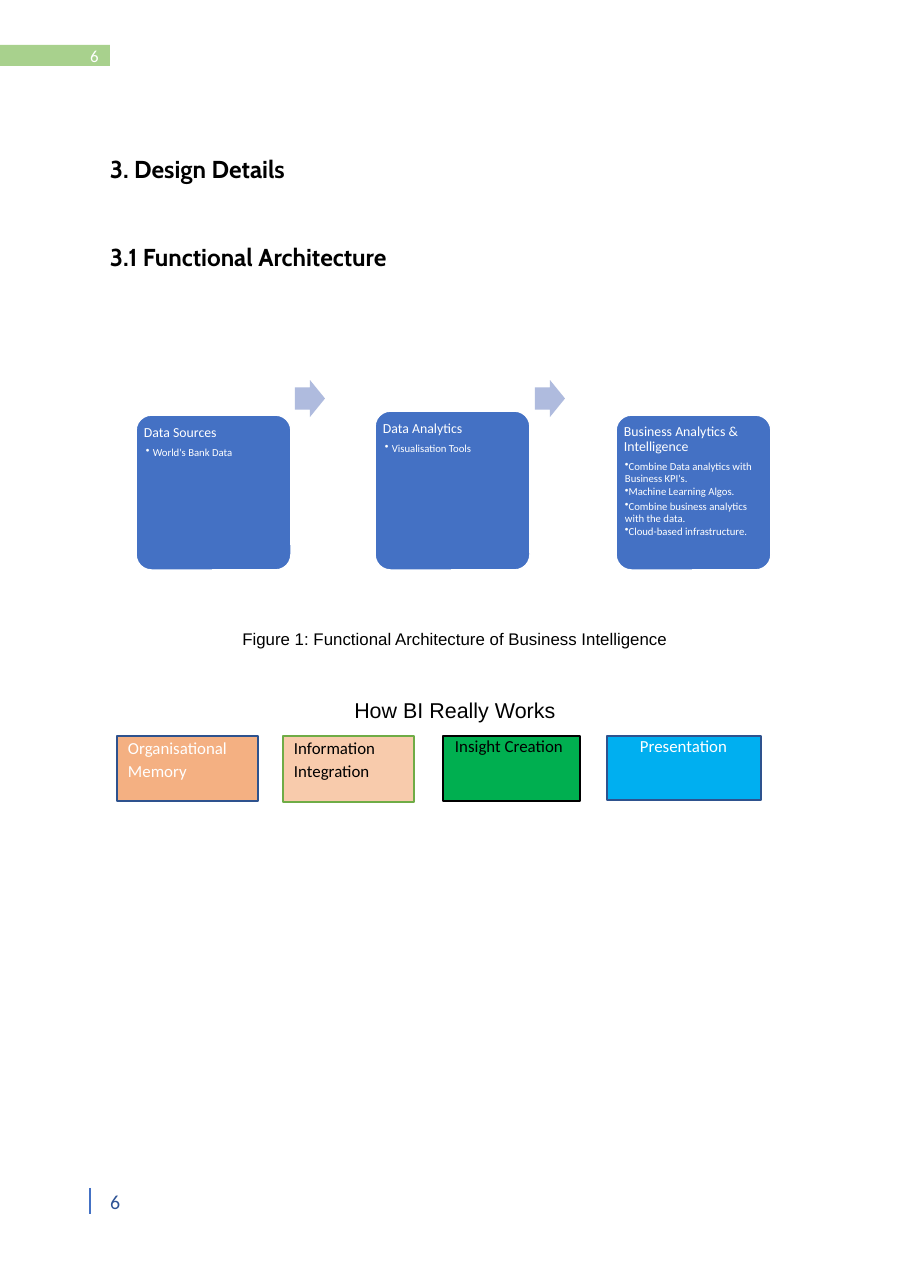
from lxml.etree import SubElement
from pptx import Presentation
from pptx.dml.color import RGBColor
from pptx.enum.shapes import MSO_CONNECTOR, MSO_SHAPE
from pptx.enum.text import MSO_ANCHOR, PP_ALIGN
from pptx.oxml.ns import qn
from pptx.util import Pt

PX = 8298  # EMU per px

WHITE = RGBColor(0xFF, 0xFF, 0xFF)
BLACK = RGBColor(0, 0, 0)
BLUE = RGBColor(0x44, 0x71, 0xC4)
PALE_BLUE = RGBColor(0xAF, 0xBB, 0xDE)
DARK_BLUE = RGBColor(0x2E, 0x52, 0x8E)
PAGE_BLUE = RGBColor(0x2E, 0x53, 0x95)
BAND_GREEN = RGBColor(0xA8, 0xD1, 0x8D)
LEAF_GREEN = RGBColor(0x6F, 0xAC, 0x46)
GREEN = RGBColor(0x00, 0xAF, 0x50)
ORANGE = RGBColor(0xF4, 0xB0, 0x82)
PEACH = RGBColor(0xF8, 0xCB, 0xAC)
SKY = RGBColor(0x00, 0xAF, 0xF0)


def px(*lengths):
    return [length * PX for length in lengths]


def add_block(slide, kind, box, fill, line=None):
    shape = slide.shapes.add_shape(kind, *px(*box))
    shape.shadow.inherit = False
    shape.fill.solid()
    shape.fill.fore_color.rgb = fill
    if line is None:
        shape.line.fill.background()
    else:
        shape.line.color.rgb = line
        shape.line.width = Pt(1)
    return shape


def clear_margins(frame, left=0):
    frame.margin_left = left * PX
    frame.margin_top = frame.margin_right = frame.margin_bottom = 0
    frame.vertical_anchor = MSO_ANCHOR.TOP
    frame.word_wrap = True


def set_text(paragraph, text, size, color, font="Calibri", bold=False):
    paragraph.text = text
    paragraph.font.size = Pt(size)
    paragraph.font.name = font
    paragraph.font.bold = bold
    paragraph.font.color.rgb = color


def add_text(slide, box, text, size, color, font="Calibri", bold=False, align=PP_ALIGN.LEFT):
    frame = slide.shapes.add_textbox(*px(*box)).text_frame
    clear_margins(frame)
    paragraph = frame.paragraphs[0]
    paragraph.alignment = align
    set_text(paragraph, text, size, color, font, bold)
    return frame


def add_bullet(paragraph, margin, indent):
    properties = paragraph._p.get_or_add_pPr()
    properties.set("marL", str(margin * PX))
    properties.set("indent", str(indent * PX))
    color = SubElement(properties, qn("a:buClr"))
    SubElement(color, qn("a:srgbClr"), val=str(WHITE))
    SubElement(properties, qn("a:buChar"), char="•")


def add_card(slide, box, title, items, margin, indent, title_spacing=None):
    """Rounded card; each item is (text, space before, line spacing), in points."""
    card = add_block(slide, MSO_SHAPE.ROUNDED_RECTANGLE, box, BLUE, WHITE)
    card.adjustments[0] = 0.1
    left, top, width, height = box
    frame = add_text(slide, (left + 8, top + 9, 134, height - 20), title, 9, WHITE)
    frame.paragraphs[0].line_spacing = title_spacing
    for text, before, spacing in items:
        paragraph = frame.add_paragraph()
        paragraph.space_before = Pt(before)
        paragraph.line_spacing = spacing
        add_bullet(paragraph, margin, indent)
        set_text(paragraph, text, 7, WHITE)


def add_stage(slide, box, text, fill, line, color, inset, spacing=None):
    frame = add_block(slide, MSO_SHAPE.RECTANGLE, box, fill, line).text_frame
    clear_margins(frame, inset)
    paragraph = frame.paragraphs[0]
    paragraph.alignment = PP_ALIGN.LEFT
    paragraph.line_spacing = spacing
    set_text(paragraph, text, 11, color)


def add_page_marks(slide):
    add_block(slide, MSO_SHAPE.RECTANGLE, (0, 45, 110, 21), BAND_GREEN)
    add_text(slide, (90, 46, 18, 20), "6", 11, WHITE)
    rule = slide.shapes.add_connector(MSO_CONNECTOR.STRAIGHT, *px(90, 1188, 90, 1214))
    rule.line.color.rgb = BLUE
    rule.line.width = Pt(1.54)
    SubElement(rule._element.spPr, qn("a:effectLst"))
    add_text(slide, (110, 1190, 18, 24), "6", 13, PAGE_BLUE)


def add_architecture(slide):
    add_card(slide, (136, 415, 155, 155), "Data Sources",
             [("World's Bank Data", 3.3, None)], 9, -7)
    add_card(slide, (375, 411, 155, 159), "Data Analytics",
             [("Visualisation Tools", 3.3, None)], 9, -7)
    add_card(slide, (616, 415, 155, 155), "Business Analytics & Intelligence", [
        ("Combine Data analytics with Business KPI's.", 3.9, Pt(7.8)),
        ("Machine Learning Algos.", 0.5, None),
        ("Combine business analytics with the data.", 1.5, Pt(7.8)),
        ("Cloud-based infrastructure.", 0.5, None),
    ], 1, 0, Pt(10))
    for left in (295, 535):
        arrow = add_block(slide, MSO_SHAPE.RIGHT_ARROW, (left, 380, 30, 37), PALE_BLUE)
        arrow.adjustments[0] = 0.6


def add_stages(slide):
    add_stage(slide, (117, 736, 141, 65), "Organisational Memory",
              ORANGE, DARK_BLUE, WHITE, 11, 1.1)
    add_stage(slide, (283, 736, 131, 66), "Information Integration",
              PEACH, LEAF_GREEN, BLACK, 11, 1.1)
    add_stage(slide, (443, 736, 137, 65), "Insight Creation", GREEN, BLACK, BLACK, 12)
    add_stage(slide, (607, 736, 154, 64), "Presentation", SKY, DARK_BLUE, WHITE, 33)


def main():
    presentation = Presentation()
    presentation.slide_width, presentation.slide_height = px(910, 1288)
    slide = presentation.slides.add_slide(presentation.slide_layouts[6])
    add_page_marks(slide)
    add_text(slide, (110, 154, 364, 30), "3. Design Details", 16, BLACK, "Cabin", True)
    add_text(slide, (110, 242, 364, 30), "3.1 Functional Architecture", 16, BLACK, "Cabin", True)
    add_architecture(slide)
    add_text(slide, (235, 629, 440, 20), "Figure 1: Functional Architecture of Business Intelligence",
             11, BLACK, "Arial", align=PP_ALIGN.CENTER)
    add_text(slide, (235, 697, 440, 25), "How BI Really Works",
             14, BLACK, "Arial", align=PP_ALIGN.CENTER)
    add_stages(slide)
    presentation.save("out.pptx")


if __name__ == "__main__":
    main()
